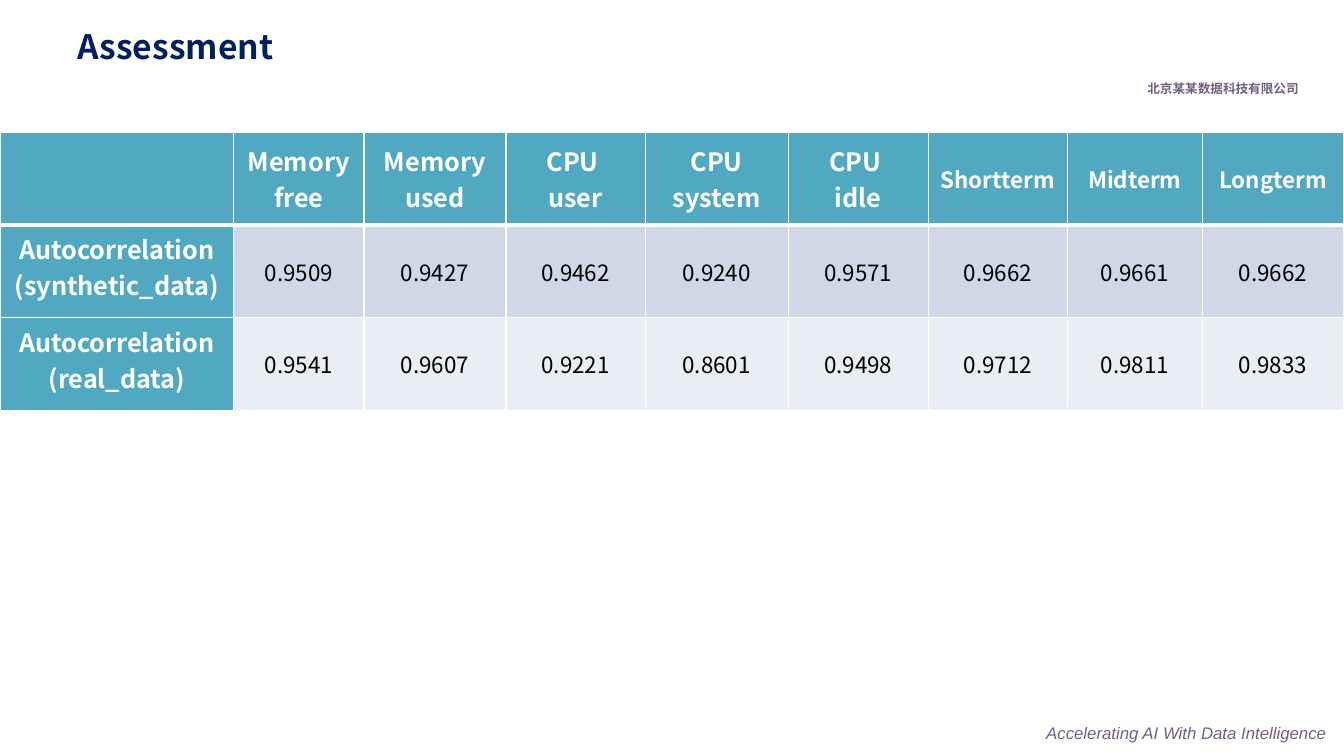
from lxml.etree import SubElement
from pptx import Presentation
from pptx.dml.color import RGBColor
from pptx.enum.text import MSO_ANCHOR, PP_ALIGN
from pptx.oxml.ns import qn
from pptx.util import Pt

SANS = "Noto Sans CJK SC"
HEADS = ["", "Memory free", "Memory used", "CPU \nuser", "CPU system",
         "CPU \nidle", "Shortterm", "Midterm", "Longterm"]
ROWS = [
    ["Autocorrelation\n(synthetic_data)", "0.9509", "0.9427", "0.9462",
     "0.9240", "0.9571", "0.9662", "0.9661", "0.9662"],
    ["Autocorrelation\n(real_data)", "0.9541", "0.9607", "0.9221",
     "0.8601", "0.9498", "0.9712", "0.9811", "0.9833"],
]
WIDTHS = [167, 93, 101.5, 99.4, 102.2, 100, 99.4, 96.5, 100.8]


def color(code):
    return RGBColor.from_string(code)


def write(frame, text, size=16, font=SANS, ink="000000", bold=False,
          italic=False, align=PP_ALIGN.LEFT, space=None):
    """Fill a text frame, one paragraph for each line of text."""
    frame.text = text
    for para in frame.paragraphs:
        para.alignment = align
        para.line_spacing = space
        for run in para.runs:
            face = run.font
            face.size, face.name = Pt(size), font
            face.bold, face.italic = bold, italic
            face.color.rgb = color(ink)
            east = SubElement(run._r.rPr, qn("a:ea"))
            east.set("typeface", SANS)


class Deck:
    teal, navy, plum, white = "51A9C1", "002060", "755E81", "FFFFFF"
    bands = ["D0D8E8", "E9EDF4"]

    def __init__(self, show):
        self.slide = show.slides.add_slide(show.slide_layouts[5])

    def title(self, text, left, top, width, height):
        box = self.slide.shapes.title
        box.left, box.top = Pt(left), Pt(top)
        box.width, box.height = Pt(width), Pt(height)
        box.text_frame.vertical_anchor = MSO_ANCHOR.MIDDLE
        write(box.text_frame, text, size=24, ink=self.navy, bold=True, space=0.9)

    def label(self, text, left, top, width, height, wrap=True, **style):
        box = self.slide.shapes.add_textbox(Pt(left), Pt(top), Pt(width), Pt(height))
        frame = box.text_frame
        frame.word_wrap = wrap
        frame.vertical_anchor = MSO_ANCHOR.MIDDLE
        write(frame, text, font="Arial", ink=self.plum, **style)

    def edge(self, cell, **sides):
        """Draw white borders; each side is given its line width."""
        props = cell._tc.get_or_add_tcPr()
        for side, width in sides.items():
            line = SubElement(props, qn(f"a:ln{side}"), w=str(Pt(width)))
            fill = SubElement(line, qn("a:solidFill"))
            SubElement(fill, qn("a:srgbClr"), val=self.white)

    def table(self, rows, widths, left, top, height):
        grid = self.slide.shapes.add_table(
            len(rows), len(widths), Pt(left), Pt(top),
            Pt(sum(widths)), Pt(height * len(rows))).table
        for col, width in zip(grid.columns, widths):
            col.width = Pt(width)
        for r, row in enumerate(rows):
            grid.rows[r].height = Pt(height)
            for c, text in enumerate(row):
                self.cell(grid.cell(r, c), text, r, c)

    def cell(self, cell, text, r, c):
        head = r == 0 or c == 0
        self.edge(cell, L=1, R=1, T=3 if r == 1 else 1, B=3 if r == 0 else 1)
        cell.fill.solid()
        cell.fill.fore_color.rgb = color(self.teal if head else self.bands[r - 1])
        cell.vertical_anchor = MSO_ANCHOR.TOP if c == 0 else MSO_ANCHOR.MIDDLE
        write(cell.text_frame, text, size=18 if head and c < 6 else 16,
              ink=self.white if head else "000000", bold=head,
              align=PP_ALIGN.CENTER)


def main():
    show = Presentation()
    show.slide_width, show.slide_height = Pt(960), Pt(540)
    deck = Deck(show)
    deck.label("北京某某数据科技有限公司", 810, 47.5, 124.6, 31.7,
               size=9, bold=True, align=PP_ALIGN.RIGHT)
    deck.label("Accelerating AI With Data Intelligence", 740.2, 512.6, 219.6, 22.3,
               wrap=False, size=12, italic=True)
    deck.title("Assessment", 48.2, 0, 887, 69.8)
    deck.table([HEADS] + ROWS, WIDTHS, 0, 94.5, 66.24)
    show.save("out.pptx")


if __name__ == "__main__":
    main()
